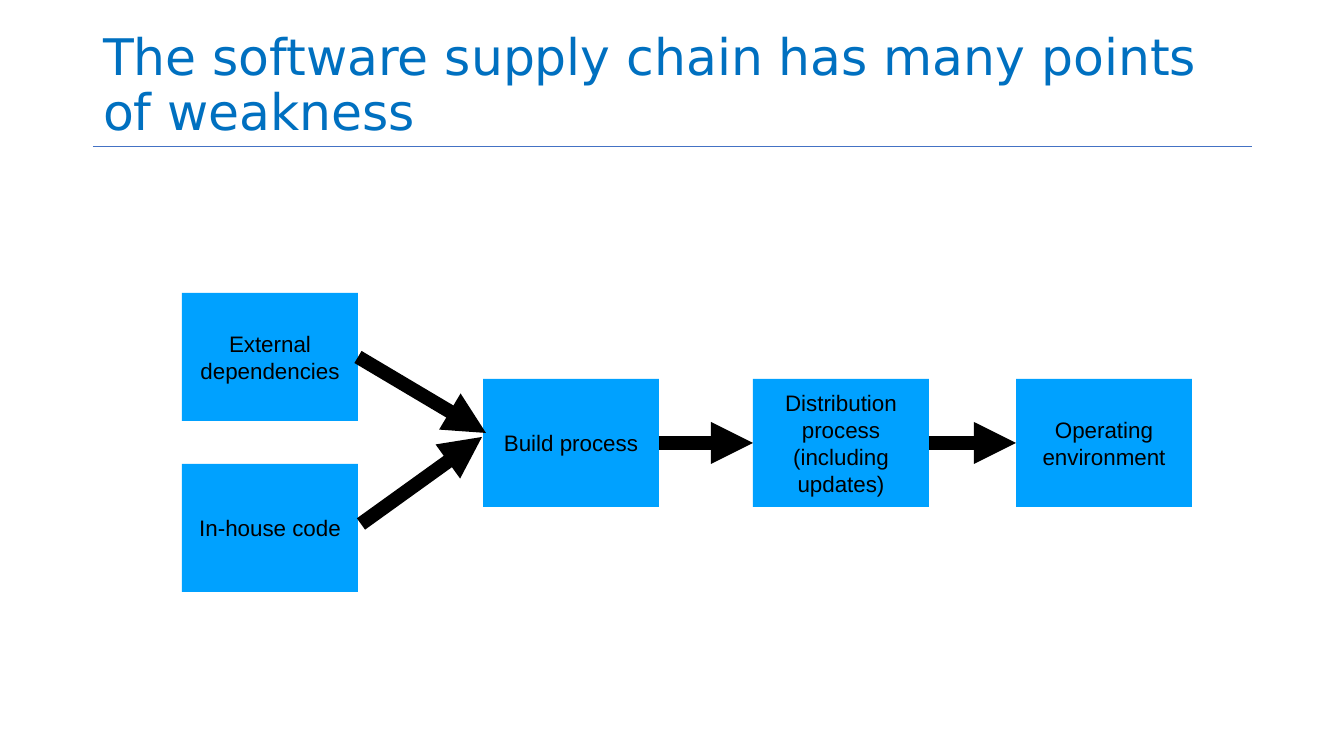
from lxml.etree import SubElement
from pptx import Presentation
from pptx.dml.color import RGBColor
from pptx.enum.shapes import MSO_CONNECTOR, MSO_SHAPE
from pptx.enum.text import MSO_ANCHOR, MSO_AUTO_SIZE, PP_ALIGN
from pptx.oxml.ns import qn
from pptx.util import Emu, Pt

EMU_PER_PX = 914400 / 100.8
TITLE_BLUE = RGBColor(0x00, 0x70, 0xC0)
RULE_BLUE = RGBColor(0x44, 0x72, 0xC4)
STAGE_BLUE = RGBColor(0x00, 0xA1, 0xFF)
BLACK = RGBColor(0x00, 0x00, 0x00)
STAGE_WIDTH, STAGE_HEIGHT = 176, 128
RIGHT_SIDE, LEFT_SIDE = 3, 1


def px(length):
    return Emu(round(length * EMU_PER_PX))


def add_span(para, text, font_name, size, color):
    span = para.add_run()
    span.text = text
    span.font.name = font_name
    span.font.size = Pt(size)
    span.font.color.rgb = color


def add_line(page, start, end, color, width):
    line = page.shapes.add_connector(
        MSO_CONNECTOR.STRAIGHT, *map(px, (*start, *end)))
    line.line.color.rgb = color
    line.line.width = Pt(width)
    SubElement(line._element.spPr, qn("a:effectLst"))
    return line


def add_arrow(page, start, end):
    arrow = add_line(page, start, end, BLACK, 10)
    SubElement(arrow.line._get_or_add_ln(), qn("a:tailEnd"), type="triangle")
    return arrow


def add_stage(page, label, left, top):
    box = page.shapes.add_shape(
        MSO_SHAPE.RECTANGLE, *map(px, (left, top, STAGE_WIDTH, STAGE_HEIGHT)))
    box.shadow.inherit = False
    box.fill.solid()
    box.fill.fore_color.rgb = STAGE_BLUE
    box.line.fill.background()
    frame = box.text_frame
    frame.word_wrap = True
    frame.vertical_anchor = MSO_ANCHOR.MIDDLE
    frame.margin_left = frame.margin_right = px(3)
    frame.margin_top = frame.margin_bottom = px(3)
    para = frame.paragraphs[0]
    para.alignment = PP_ALIGN.CENTER
    add_span(para, label, "Arial", 16, BLACK)
    return box


def add_heading(page, text, left, top, width, height):
    title = page.shapes.title
    title.left, title.top, title.width, title.height = map(
        px, (left, top, width, height))
    frame = title.text_frame
    frame.word_wrap = True
    frame.auto_size = MSO_AUTO_SIZE.NONE
    frame.vertical_anchor = MSO_ANCHOR.BOTTOM
    para = frame.paragraphs[0]
    para.alignment = PP_ALIGN.LEFT
    para.line_spacing = 0.9
    add_span(para, text, "DejaVu Sans", 36, TITLE_BLUE)
    bottom = top + height
    add_line(page, (left, bottom), (left + width, bottom), RULE_BLUE, 0.5)


def add_supply_chain(page, left, top):
    middle = top + 86
    external = add_stage(page, "External dependencies", left, top)
    add_stage(page, "In-house code", left, top + 171)
    build, distribution, operation = [
        add_stage(page, label, left + offset, middle)
        for label, offset in (
            ("Build process", 301),
            ("Distribution process (including updates)", 571),
            ("Operating environment", 834),
        )
    ]

    external_arrow = add_arrow(page, (left + 176, top + 64), (left + 304, top + 140))
    external_arrow.begin_connect(external, RIGHT_SIDE)
    add_arrow(page, (left + 179, top + 231), (left + 300, top + 144))

    for source, target in ((build, distribution), (distribution, operation)):
        arrow = add_arrow(page, (left, middle), (left, middle))
        arrow.begin_connect(source, RIGHT_SIDE)
        arrow.end_connect(target, LEFT_SIDE)


def main():
    deck = Presentation()
    deck.slide_width, deck.slide_height = px(1344), px(756)
    page = deck.slides.add_slide(deck.slide_layouts[5])
    add_heading(page, "The software supply chain has many points of weakness",
                93, 0, 1159, 146)
    add_supply_chain(page, 182, 293)
    deck.save("out.pptx")


if __name__ == "__main__":
    main()
